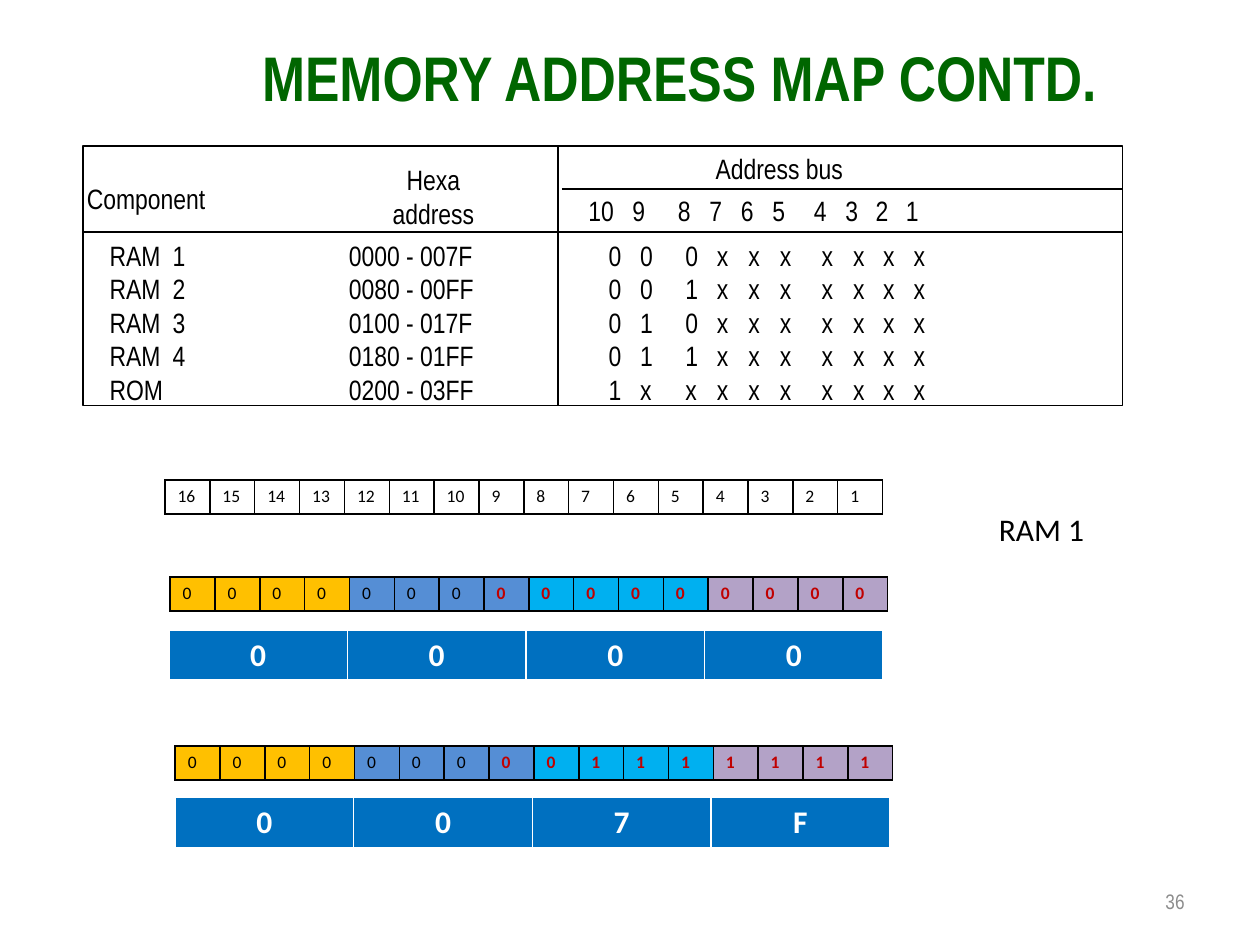
from itertools import accumulate

from lxml import etree
from pptx import Presentation
from pptx.dml.color import RGBColor
from pptx.enum.shapes import MSO_CONNECTOR as CONN, MSO_SHAPE as SHAPE
from pptx.enum.text import MSO_ANCHOR as ANCHOR, PP_ALIGN as ALIGN
from pptx.oxml import parse_xml
from pptx.oxml.ns import nsdecls, qn
from pptx.util import Inches, Pt

COLORS = {"black": "000000", "white": "FFFFFF", "green": "006600", "grey": "8C8C8C",
          "red": "C00000", "amber": "FFC000", "blue": "558ED5", "cyan": "00B0F0",
          "violet": "B3A2C7", "hex": "0070C0"}
NIBBLES = ["amber", "blue", "cyan", "violet"]
BIT_GAPS = [0.25, 0.36, 0.25, 0.25, 0.25, 0.33, 0.25, 0.24, 0.24]
BIT_STOPS = list(accumulate(BIT_GAPS))
MAP = [("RAM\t1", "0000 - 007F", "000xxxxxxx"),
       ("RAM\t2", "0080 - 00FF", "001xxxxxxx"),
       ("RAM\t3", "0100 - 017F", "010xxxxxxx"),
       ("RAM\t4", "0180 - 01FF", "011xxxxxxx"),
       ("ROM", "0200 - 03FF", "1xxxxxxxxx")]


def rgb(name):
    """Return the named colour."""
    return RGBColor.from_string(COLORS[name])


def style(font, color="black", **values):
    """Set the font attributes given by name."""
    for key, value in values.items():
        setattr(font, key, value)
    font.color.rgb = rgb(color)


def add_tabs(p, stops):
    """Give a paragraph left tab stops at the given inches."""
    tabs = etree.SubElement(p._p.get_or_add_pPr(), qn("a:tabLst"))
    for stop in stops:
        etree.SubElement(tabs, qn("a:tab"), pos=str(Inches(stop)), algn="l")


def add_text(s, box, lines, size=16, name="Arial Narrow", color="black", bold=False,
             align=ALIGN.LEFT, insets=(0.07, 0.03), wrap=False, anchor=ANCHOR.TOP,
             stops=(), spacing=None):
    """Add a text box with one paragraph per line."""
    tf = s.shapes.add_textbox(*map(Inches, box)).text_frame
    dx, dy = map(Inches, insets)
    frame = {"word_wrap": wrap, "vertical_anchor": anchor, "margin_left": dx,
             "margin_right": dx, "margin_top": dy, "margin_bottom": dy}
    for key, value in frame.items():
        setattr(tf, key, value)
    for i, line in enumerate(lines):
        p = tf.add_paragraph() if i else tf.paragraphs[0]
        p.alignment = align
        if spacing:
            p.line_spacing = spacing
        if stops:
            add_tabs(p, stops)
        r = p.add_run()
        r.text = line
        style(r.font, color, name=name, size=Pt(size), bold=bold)


def add_line(s, x1, y1, x2, y2):
    """Add a thin black line."""
    line = s.shapes.add_connector(CONN.STRAIGHT, *map(Inches, (x1, y1, x2, y2)))
    line.line.color.rgb = rgb("black")
    line.line.width = Pt(1)
    etree.SubElement(line._element.spPr, qn("a:effectLst"))


def add_address_map(s, x, y, w, h):
    """Draw the framed map of components, addresses and bus lines."""
    names, ranges, bits = zip(*MAP)
    body = y + 0.7
    add_text(s, (x + 0.14, body, 0.99, 1.4), names, stops=[0.5])
    add_text(s, (x + 2.04, body, 1.5, 1.4), ranges)
    add_text(s, (x + 4.1, body, 3.51, 1.4), ["\t".join(b) for b in bits], stops=BIT_STOPS)
    add_text(s, (x - 0.04, y + 0.25, 1.43, 0.33), ["Component"])
    add_text(s, (x + 2.26, y + 0.1, 1.04, 0.59), ["Hexa", "address"], align=ALIGN.CENTER)
    add_text(s, (x + 3.94, y + 0.35, 3.73, 0.33), ["\t".join(map(str, range(10, 0, -1)))],
             stops=[stop + 0.1 for stop in BIT_STOPS])
    add_text(s, (x + 4.95, y + 0.01, 1.53, 0.33), ["Address bus"])
    frame = s.shapes.add_shape(SHAPE.RECTANGLE, *map(Inches, (x, y, w, h)))
    frame.shadow.inherit = False
    frame.fill.background()
    frame.line.color.rgb = rgb("black")
    frame.line.width = Pt(1)
    add_line(s, x, y + 0.68, x + w, y + 0.68)
    add_line(s, x + 3.77, y, x + 3.77, y + h)
    add_line(s, x + 3.8, y + 0.34, x + w, y + 0.34)


def set_borders(cell, color, bottom):
    """Outline a cell, with its own width for the bottom edge."""
    tc_pr = cell._tc.get_or_add_tcPr()
    for i, (side, width) in enumerate(zip("LRTB", (1, 1, 1, bottom))):
        tc_pr.insert(i, parse_xml(
            f'<a:ln{side} {nsdecls("a")} w="{Pt(width)}"><a:solidFill>'
            f'<a:srgbClr val="{COLORS[color]}"/></a:solidFill></a:ln{side}>'))


def add_row(s, box, values, fills, fonts, border="black", bottom=1, align=ALIGN.LEFT):
    """Add a one-row table with a fill and font for each cell."""
    table = s.shapes.add_table(1, len(values), *map(Inches, box)).table
    table.first_row = table.horz_banding = False
    for i, (value, fill, font) in enumerate(zip(values, fills, fonts)):
        table.columns[i].width = Inches(box[2] / len(values))
        cell = table.cell(0, i)
        if fill:
            cell.fill.solid()
            cell.fill.fore_color.rgb = rgb(fill)
        else:
            cell.fill.background()
        set_borders(cell, border, bottom)
        p = cell.text_frame.paragraphs[0]
        p.alignment = align
        r = p.add_run()
        r.text = str(value)
        style(r.font, name="Calibri", **font)


def add_bits(s, x, y, bits):
    """Add sixteen bits coloured by nibble, the low nine in red."""
    plain = {"size": Pt(10), "bold": False}
    low = {"size": Pt(10), "bold": True, "color": "red"}
    add_row(s, (x, y, 5.7, 0.27), bits, [NIBBLES[i // 4] for i in range(16)],
            [plain] * 7 + [low] * 9)


def add_hex(s, x, y, digits):
    """Add the four hexadecimal digits of an address."""
    font = {"size": Pt(18), "bold": True, "color": "white"}
    add_row(s, (x, y, 5.67, 0.41), digits, ["hex"] * 4, [font] * 4,
            border="white", bottom=3, align=ALIGN.CENTER)


def main():
    """Build the slide and save it."""
    prs = Presentation()
    prs.slide_width, prs.slide_height = Inches(10), Inches(7.5)
    s = prs.slides.add_slide(prs.slide_layouts[6])
    add_address_map(s, 0.66, 1.16, 8.25, 2.06)
    add_text(s, (7.17, 6.95, 2.33, 0.4), ["36"], size=12, color="grey", align=ALIGN.RIGHT,
             insets=(0.1, 0.05), wrap=True, anchor=ANCHOR.MIDDLE)
    add_text(s, (0.58, -0.04, 9.63, 0.6), ["MEMORY ADDRESS MAP CONTD."], size=36,
             color="green", bold=True, align=ALIGN.CENTER, insets=(0.1, 0.05), wrap=True,
             spacing=1.5)
    add_row(s, (1.31, 3.81, 5.7, 0.27), range(16, 0, -1), [None] * 16,
            [{"size": Pt(10), "bold": False}] * 16)
    add_bits(s, 1.35, 4.58, "0" * 16)
    add_bits(s, 1.39, 5.92, "0" * 9 + "1" * 7)
    add_hex(s, 1.34, 5, "0000")
    add_hex(s, 1.39, 6.33, "007F")
    add_text(s, (7.83, 4, 1.5, 0.4), ["RAM 1"], size=18, name="Calibri",
             insets=(0.1, 0.05), wrap=True)
    prs.save("out.pptx")


if __name__ == "__main__":
    main()
